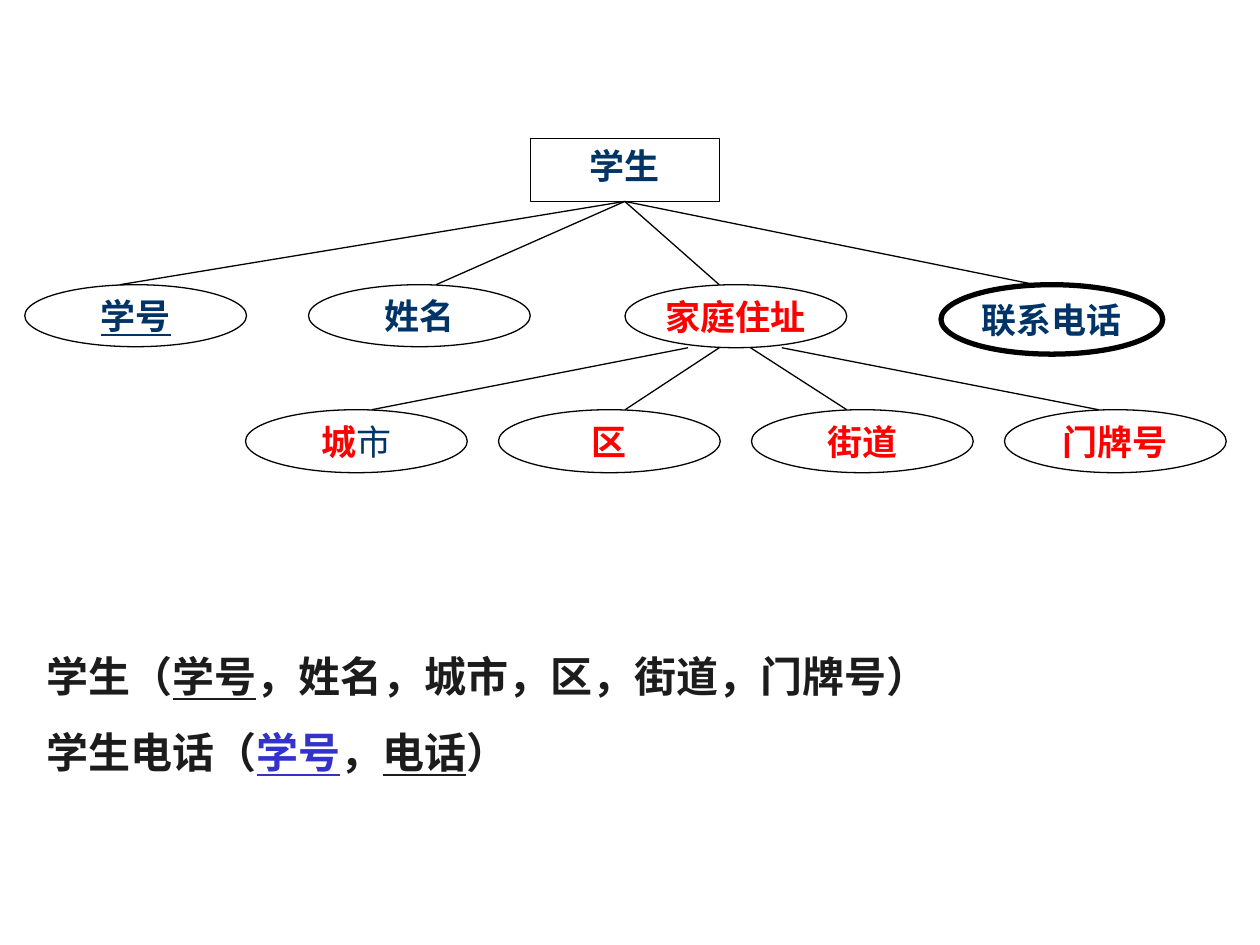
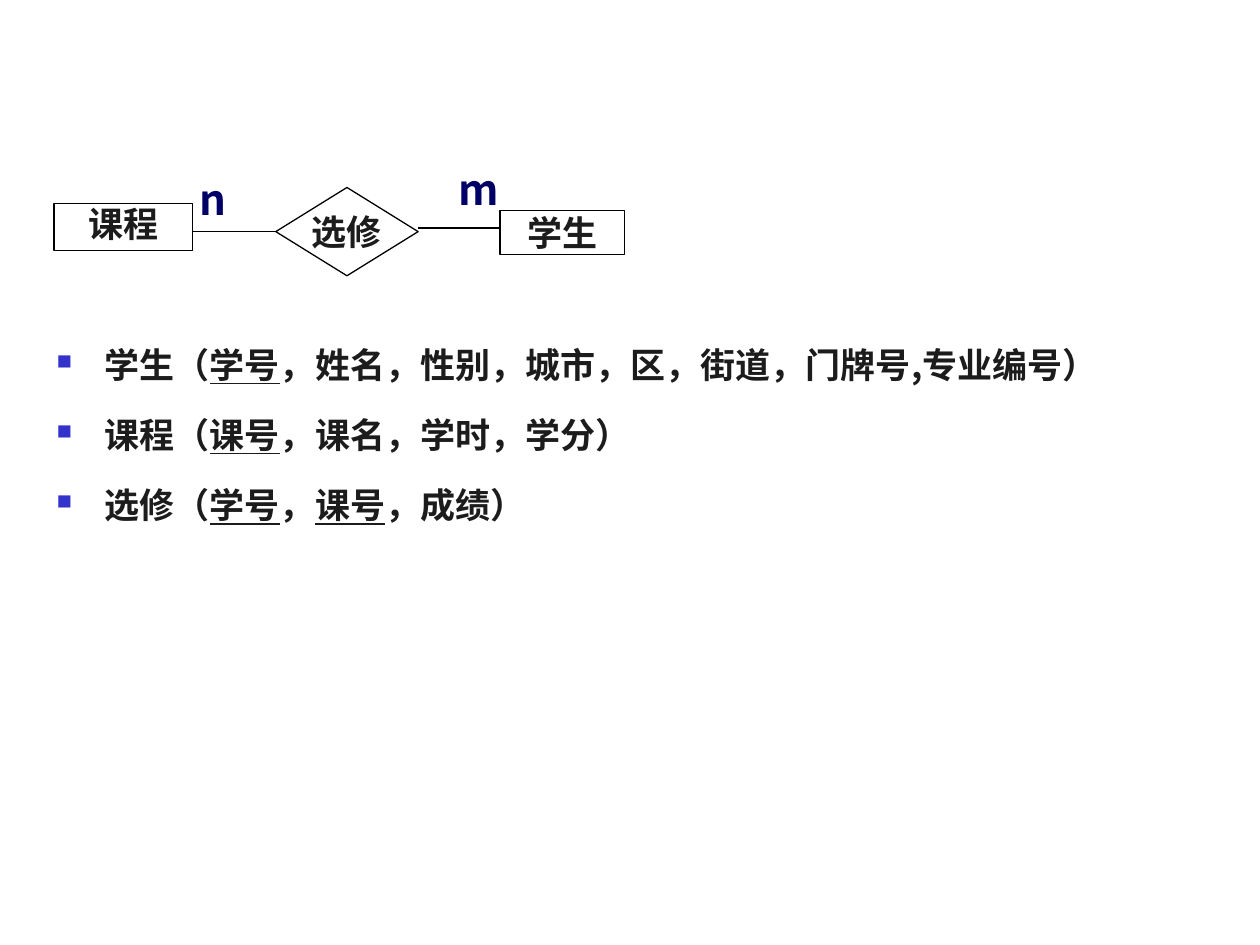
from lxml.etree import SubElement
from pptx import Presentation
from pptx.dml.color import RGBColor
from pptx.enum.shapes import MSO_CONNECTOR as Link, MSO_SHAPE as Shape
from pptx.enum.text import MSO_ANCHOR as Anchor, PP_ALIGN as Align
from pptx.oxml.ns import qn
from pptx.util import Cm, Pt

COLORS = {
    "paper": "FFFFFF", "line": "000000", "text": "1C1C1C", "navy": "003366",
    "red": "FF0000", "blue": "3333CC", "label": "000066",
}
FONT = "Noto Sans CJK SC"


def rgb(name):
    return RGBColor.from_string(COLORS[name])


def add_span(para, text, size=20, color="text", bold=True, underline=False):
    span = para.add_run()
    span.text = text
    font = span.font
    font.name, font.size, font.bold = FONT, Pt(size), bold
    font.underline = underline
    font.color.rgb = rgb(color)
    SubElement(font._element, qn("a:ea"), typeface=FONT)


def add_bullet(para):
    props = para._p.get_or_add_pPr()
    props.set("marL", str(Cm(0.97)))
    props.set("indent", str(-Cm(0.97)))
    color = SubElement(props, qn("a:buClr"))
    SubElement(color, qn("a:srgbClr"), val=COLORS["blue"])
    SubElement(props, qn("a:buSzPct"), val="60000")
    SubElement(props, qn("a:buChar"), char="■")


class Diagram:
    def __init__(self):
        self.deck = Presentation()
        self.deck.slide_width, self.deck.slide_height = Cm(25.4), Cm(19.05)
        self.page = None

    def new_page(self):
        self.page = self.deck.slides.add_slide(self.deck.slide_layouts[6])

    def node(self, kind, left, top, width, height, spans, weight=0.75, lift=0, **style):
        """A white outlined shape; lift raises its text from the middle."""
        box = self.page.shapes.add_shape(kind, Cm(left), Cm(top), Cm(width), Cm(height))
        box.shadow.inherit = False
        box.fill.solid()
        box.fill.fore_color.rgb = rgb("paper")
        box.line.color.rgb = rgb("line")
        box.line.width = Pt(weight)
        frame = box.text_frame
        frame.margin_left = frame.margin_right = frame.margin_top = 0
        frame.margin_bottom = Cm(lift)
        frame.vertical_anchor = Anchor.MIDDLE
        frame.word_wrap = True
        para = frame.paragraphs[0]
        para.alignment = Align.CENTER
        for text, extra in spans:
            add_span(para, text, **{**style, **extra})
        return box

    def link(self, start, end, begin=None, finish=None):
        """A line; begin and finish are (shape, side) pairs to join."""
        line = self.page.shapes.add_connector(Link.STRAIGHT, *map(Cm, start + end))
        if begin:
            line.begin_connect(*begin)
        if finish:
            line.end_connect(*finish)
        line.line.color.rgb = rgb("line")
        line.line.width = Pt(0.75)
        SubElement(line._element.spPr, qn("a:effectLst"))

    def label(self, text, left, top, width):
        box = self.page.shapes.add_textbox(Cm(left), Cm(top), Cm(width), Cm(1.3))
        box.text_frame.word_wrap = False
        add_span(box.text_frame.paragraphs[0], text, size=24, color="label")

    def relations(self, left, top, width, height, rows, size, leading, gap=0, bullets=False):
        """Relation schemas, one paragraph each."""
        box = self.page.shapes.add_textbox(Cm(left), Cm(top), Cm(width), Cm(height))
        frame = box.text_frame
        frame.word_wrap = True
        for index, spans in enumerate(rows):
            para = frame.add_paragraph() if index else frame.paragraphs[0]
            para.line_spacing = Pt(leading)
            para.space_before = Pt(gap if index else 0)
            if bullets:
                add_bullet(para)
            for text, extra in spans:
                add_span(para, text, size=size, **extra)


PLAIN, RED = {}, {"color": "red"}
KEY = {"underline": True}
FOREIGN_KEY = {"underline": True, "color": "blue"}


def student_attributes(diagram):
    diagram.new_page()
    diagram.relations(0.69, 12.47, 24, 3.5, [
        [("学生（", PLAIN), ("学号", KEY), ("，姓名，城市，区，街道，门牌号）", PLAIN)],
        [("学生电话（", PLAIN), ("学号", FOREIGN_KEY), ("，", PLAIN),
         ("电话", KEY), ("）", PLAIN)],
    ], size=24, leading=43.4)

    # Entity
    student = diagram.node(Shape.RECTANGLE, 10.69, 2.79, 3.81, 1.27,
                           [("学生", PLAIN)], lift=0.18, color="navy")

    # Attributes: left, line end, height, outline, text
    attribute_top, part_top, oval_width = 5.74, 8.26, 4.47
    attributes = [
        (0.5, 2.41, 1.25, 0.75, [("学号", KEY)]),
        (6.22, 8.79, 1.25, 0.75, [("姓名", PLAIN)]),
        (12.6, 14.5, 1.27, 0.75, [("家庭住址", RED)]),
        (18.97, 20.88, 1.4, 3, [("联系电话", PLAIN)]),
    ]
    for left, line_end, height, weight, spans in attributes:
        diagram.node(Shape.OVAL, left, attribute_top, oval_width, height, spans,
                     weight=weight, color="navy")
        diagram.link((12.6, 4.06), (line_end, attribute_top), begin=(student, 2))

    # Parts of the address
    parts = [
        (7.49, [("城", RED), ("市", {"bold": False})]),
        (12.6, [("区", RED)]),
        (17.07, [("街道", RED)]),
        (22.15, [("门牌号", RED)]),
    ]
    for index, (line_end, spans) in enumerate(parts):
        diagram.node(Shape.OVAL, 4.95 + 5.1 * index, part_top, oval_width, 1.27,
                     spans, color="navy")
        diagram.link((13.87 + 0.63 * index, 7.01), (line_end, part_top))


def course_selection(diagram):
    diagram.new_page()
    diagram.relations(0.89, 6.35, 21.59, 5, [
        [("学生（", PLAIN), ("学号", KEY),
         ("，姓名，性别，城市，区，街道，门牌号,专业编号）", PLAIN)],
        [("课程（", PLAIN), ("课号", KEY), ("，课名，学时，学分）", PLAIN)],
        [("选修（", PLAIN), ("学号", KEY), ("，", PLAIN), ("课号", KEY),
         ("，成绩）", PLAIN)],
    ], size=20, leading=36.6, gap=3.5, bullets=True)

    # Entities and their relationship
    diagram.node(Shape.RECTANGLE, 1.09, 4.11, 2.79, 0.94, [("课程", PLAIN)], lift=0.15)
    diagram.node(Shape.RECTANGLE, 10.08, 4.24, 2.51, 0.89, [("学生", PLAIN)])
    selection = diagram.node(Shape.DIAMOND, 5.56, 3.78, 2.87, 1.78, [("选修", PLAIN)])
    diagram.link((8.43, 4.6), (10.08, 4.6))
    diagram.link((3.89, 4.67), (5.56, 4.67), finish=(selection, 1))

    # Cardinalities
    diagram.label("m", 8.99, 3.18, 1.35)
    diagram.label("n", 3.78, 3.38, 1.07)


def main():
    diagram = Diagram()
    student_attributes(diagram)
    course_selection(diagram)
    diagram.deck.save("out.pptx")


if __name__ == "__main__":
    main()
